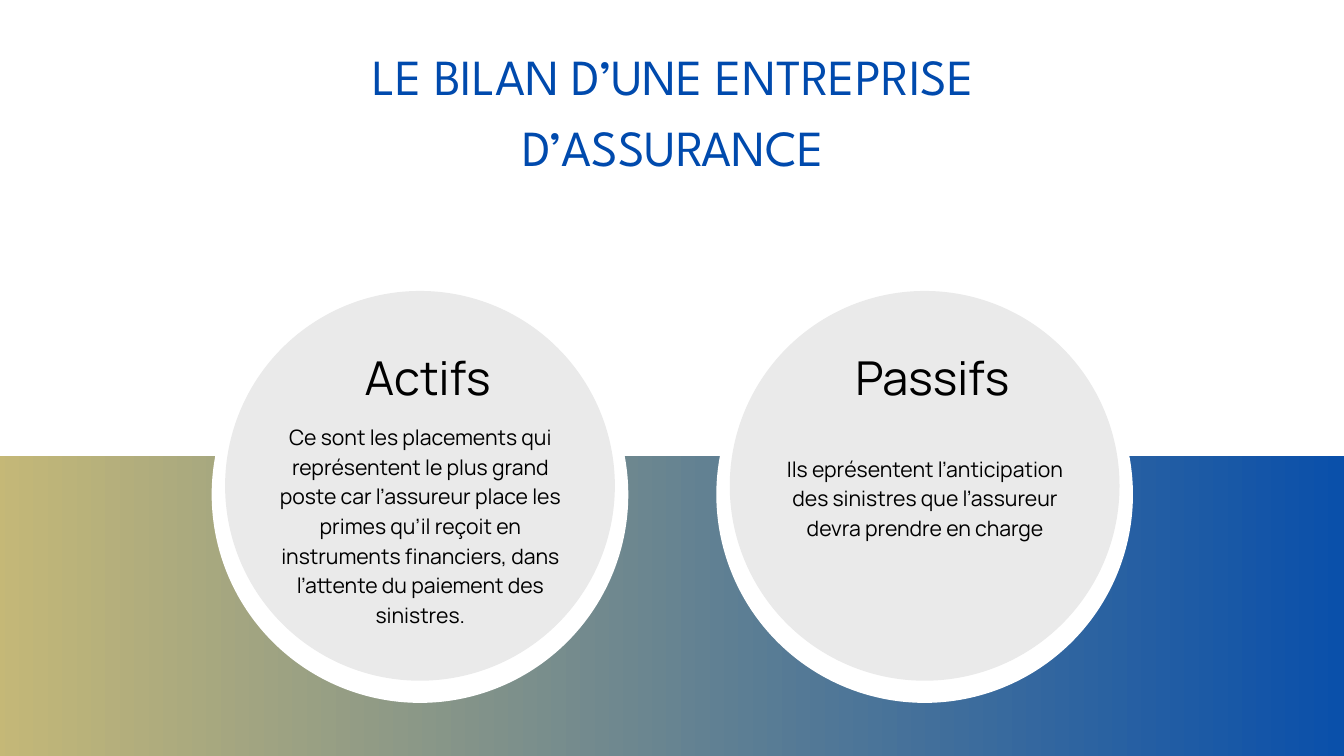
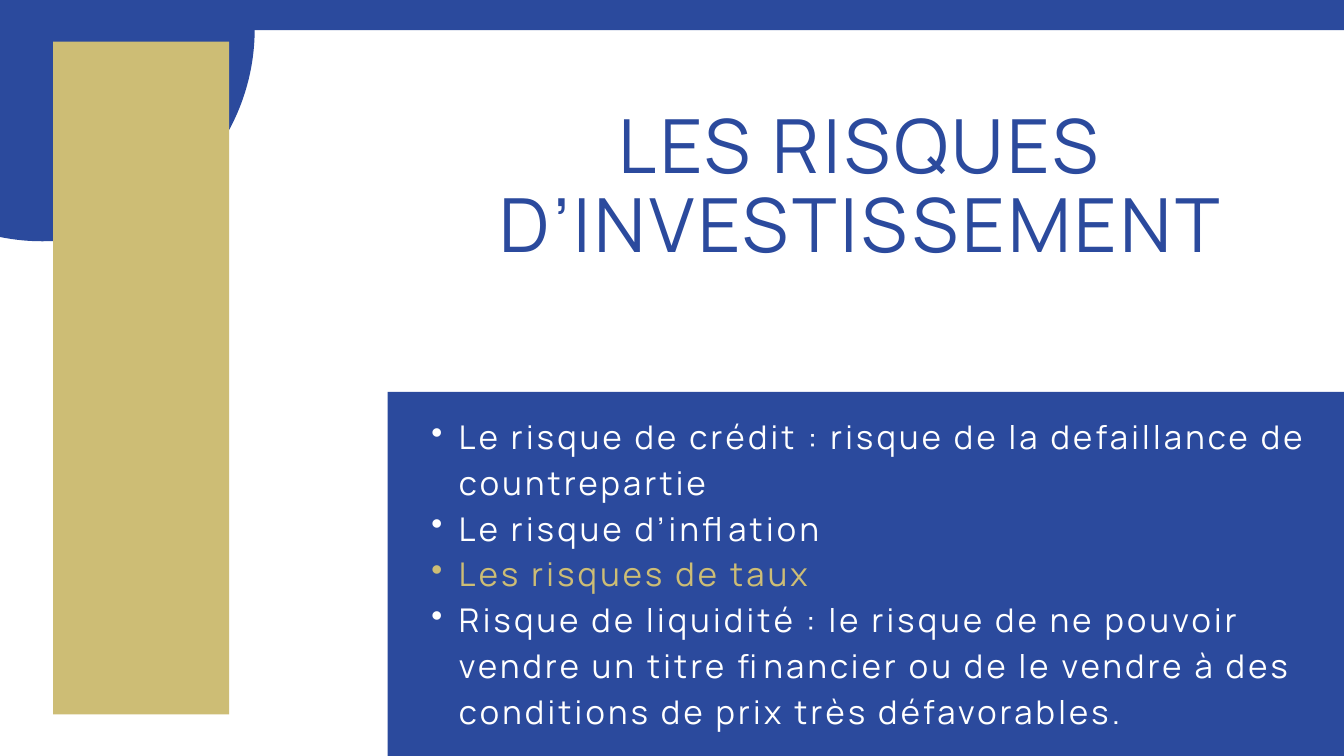
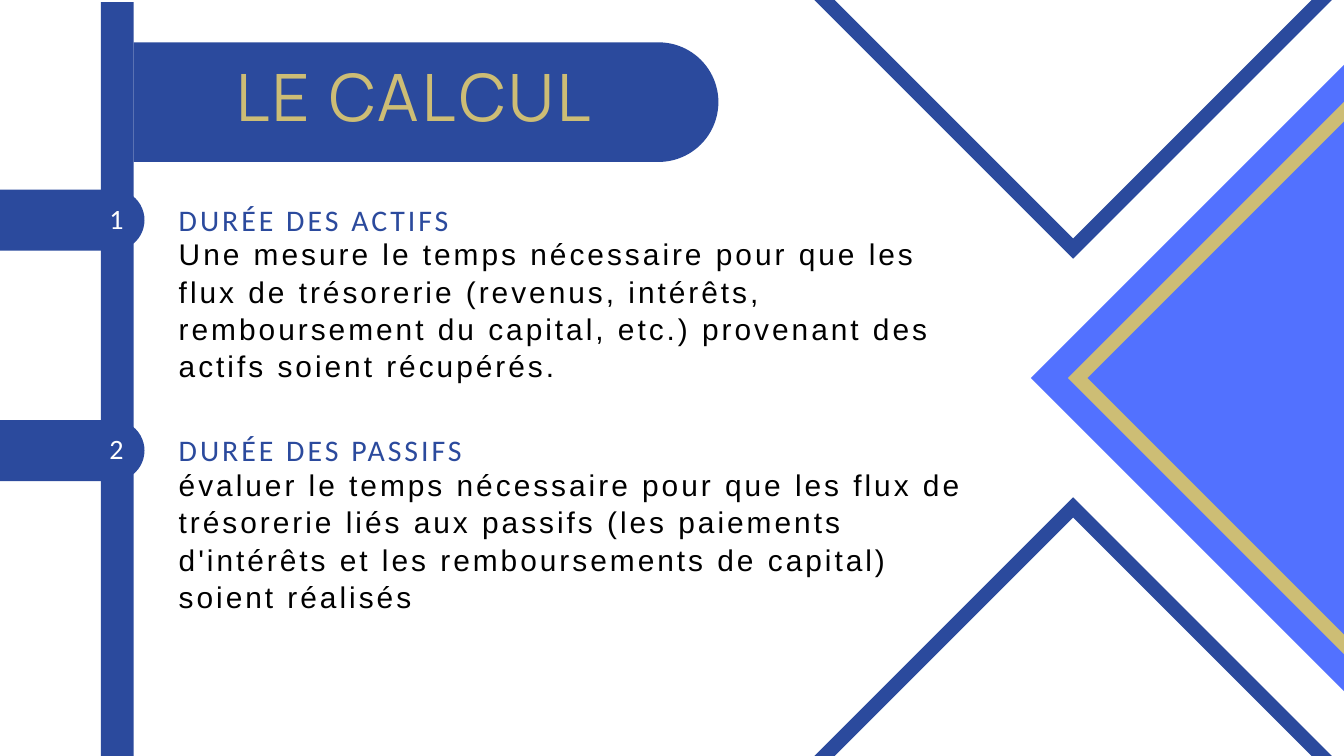
from dataclasses import dataclass

from lxml.etree import SubElement
from pptx import Presentation
from pptx.dml.color import RGBColor
from pptx.enum.shapes import MSO_SHAPE
from pptx.enum.text import PP_ALIGN
from pptx.oxml.ns import qn
from pptx.util import Inches, Pt

COLS, ROWS = 20, 11.25
CELL = Inches(1)


@dataclass(frozen=True)
class Theme:
    """Hold the colours, fonts and type sizes of the deck."""
    navy: str = "2B4A9D"
    royal: str = "004AAD"
    sky: str = "5271FF"
    gold: str = "CDBD75"
    grey: str = "EAEAEA"
    white: str = "FFFFFF"
    black: str = "000000"
    sans: str = "Manrope"
    caps: str = "League Spartan"
    plain: str = "Arial"
    label: str = "Calibri"
    giant: float = 80
    large: float = 70
    title: float = 54.1
    head: float = 50
    list: float = 35
    body: float = 32
    digit: float = 30
    small: float = 22.7


T = Theme()


def cells(*counts):
    """Turn counts of grid cells into lengths."""
    return [round(count * CELL) for count in counts]


def paint(shape, *hues):
    """Fill a shape with one colour or a sideways blend of two."""
    shape.shadow.inherit = False
    shape.line.fill.background()
    if len(hues) == 1:
        shape.fill.solid()
        shape.fill.fore_color.rgb = RGBColor.from_string(hues[0])
    else:
        shape.fill.gradient()
        shape.fill.gradient_angle = 0
        for stop, hue in zip(shape.fill.gradient_stops, hues):
            stop.color.rgb = RGBColor.from_string(hue)


def block(slide, box, *hues):
    """Draw a rectangle."""
    paint(slide.shapes.add_shape(MSO_SHAPE.RECTANGLE, *cells(*box)), *hues)


def disc(slide, mid_x, mid_y, radius, hue):
    """Draw a circle around its centre."""
    box = cells(mid_x - radius, mid_y - radius, 2 * radius, 2 * radius)
    paint(slide.shapes.add_shape(MSO_SHAPE.OVAL, *box), hue)


def tab(slide, left, top, width, height, hue):
    """Draw a bar with a round right end."""
    box = cells(left + (width - height) / 2, top + (height - width) / 2, height, width)
    shape = slide.shapes.add_shape(MSO_SHAPE.ROUND_2_SAME_RECTANGLE, *box)
    shape.adjustments[0] = 0.5
    shape.rotation = 90
    paint(shape, hue)


def chevron(slide, base, aim, reach, thick, hue):
    """Draw a right-angled arrow that points inwards from a slide edge."""
    (x, y), (dx, dy) = base, aim

    def arm(size):
        return [(x - dy * size, y - dx * size), (x + dx * size, y + dy * size),
                (x + dy * size, y + dx * size)]

    points = [cells(*point) for point in arm(reach) + arm(reach - thick)[::-1]]
    pen = slide.shapes.build_freeform(*points[0])
    pen.add_line_segments(points[1:])
    paint(pen.convert_to_shape(), hue)


def text(slide, box, *lines, size, lead, hue=T.black, font=T.sans, space=0,
         align=PP_ALIGN.LEFT, dots=False):
    """Write lines, each a string or a pair of string and colour."""
    frame = slide.shapes.add_textbox(*cells(*box)).text_frame
    frame.word_wrap = True
    frame.margin_left = frame.margin_right = frame.margin_top = frame.margin_bottom = 0
    for place, line in enumerate(lines):
        words, tint = (line, hue) if isinstance(line, str) else line
        para = frame.add_paragraph() if place else frame.paragraphs[0]
        para.alignment = align
        para.line_spacing = Pt(lead)
        if dots:
            props = para._p.get_or_add_pPr()
            props.set("marL", str(cells(0.83)[0]))
            props.set("indent", str(cells(-0.41)[0]))
            SubElement(props, qn("a:buChar")).set("char", "•")
        run = para.add_run()
        run.text = words
        run.font.size = Pt(size)
        run.font.name = font
        run.font.color.rgb = RGBColor.from_string(tint)
        if space:
            run._r.get_or_add_rPr().set("spc", str(round(space * 100)))


def balance(slide):
    """Build the slide on assets and debts."""
    block(slide, (-1, 6.79, 22.05, 4.6), T.gold, T.royal)
    sides = [
        ("Actifs", 6.25, "Ce sont les placements qui représentent le plus grand poste car "
         "l’assureur place les primes qu’il reçoit en instruments financiers, dans "
         "l’attente du paiement des sinistres."),
        ("Passifs", 6.72, "Ils eprésentent l’anticipation des sinistres que l’assureur "
         "devra prendre en charge"),
    ]
    mid = PP_ALIGN.CENTER
    text(slide, (5.47, 0.52, 9.09, 3.11), "LE BILAN D’UNE ENTREPRISE D’ASSURANCE",
         size=T.title, lead=75.8, hue=T.royal, font=T.caps, align=mid)
    for place, (head, top, words) in enumerate(sides):
        x = 6.25 + 7.51 * place
        disc(slide, x, 7.36, 3.1, T.white)
        disc(slide, x, 7.23, 2.9, T.grey)
        text(slide, (x - 2.16, top, 4.33, 3.07), words, size=T.small, lead=31.8, align=mid)
        text(slide, (x - 1.27, 5.05, 2.77, 0.99), head, size=T.head, lead=70, align=mid)


def risks(slide):
    """Build the slide on investment risks."""
    disc(slide, 0.63, 0.43, 3.16, T.navy)
    block(slide, (0.79, 0.62, 2.62, 10.01), T.gold)
    block(slide, (5.77, 5.83, COLS - 5.77, ROWS - 5.83), T.navy)
    block(slide, (3.65, 0, COLS - 3.65, 0.45), T.navy)
    text(slide, (6.31, 1.64, 12.99, 3.64), "LES RISQUES D’INVESTISSEMENT",
         size=T.giant, lead=84, hue=T.navy, space=4, align=PP_ALIGN.CENTER)
    text(slide, (6, 6.11, 13.62, 4.76),
         "Le risque de crédit : risque de la defaillance de countrepartie",
         "Le risque d’inflation",
         ("Les risques de taux", T.gold),
         "Risque de liquidité : le risque de ne pouvoir vendre un titre financier ou de le "
         "vendre à des conditions de prix très défavorables.",
         size=T.list, lead=49, hue=T.white, space=3.5, dots=True)


def method(slide):
    """Build the slide on the two durations."""
    block(slide, (1.5, 0.03, 0.49, ROWS - 0.03), T.navy)
    right = (COLS, ROWS / 2)
    chevron(slide, right, (-1, 0), 4.66, 4.66, T.sky)
    chevron(slide, right, (-1, 0), 4.11, 0.29, T.gold)
    for edge, aim in ((ROWS, -1), (0, 1)):
        chevron(slide, (15.97, edge), (0, aim), 3.85, 0.3, T.navy)
    tab(slide, 1.99, 0.63, 8.7, 1.78, T.navy)
    steps = [
        ("DURÉE DES ACTIFS", 11.22, "Une mesure le temps nécessaire pour que les flux de "
         "trésorerie (revenus, intérêts, remboursement du capital, etc.) provenant des "
         "actifs soient récupérés."),
        ("DURÉE DES PASSIFS", 11.84, "évaluer le temps nécessaire pour que les flux de "
         "trésorerie liés aux passifs (les paiements d'intérêts et les remboursements de "
         "capital) soient réalisés"),
    ]
    for place, (head, width, words) in enumerate(steps):
        top = 2.82 + 3.43 * place
        tab(slide, 0, top, 2.15, 0.91, T.navy)
        text(slide, (2.66, top + 0.67, width, 2.22), words,
             size=T.body, lead=40, font=T.plain, space=3.2)
        text(slide, (2.66, top + 0.09, 9.76, 0.6), head,
             size=T.body, lead=44.8, hue=T.navy, font=T.label, space=3.2)
        text(slide, (1.47, top + 0.09, 0.53, 0.57), str(place + 1), size=T.digit, lead=42,
             hue=T.white, font=T.label, space=3, align=PP_ALIGN.CENTER)
    text(slide, (2.32, 0.98, 7.68, 1.11), "LE CALCUL", size=T.large, lead=73.5,
         hue=T.gold, space=3.5, align=PP_ALIGN.CENTER)


def main():
    """Build and save the deck."""
    deck = Presentation()
    deck.slide_width, deck.slide_height = cells(COLS, ROWS)
    for build in (balance, risks, method):
        build(deck.slides.add_slide(deck.slide_layouts[6]))
    deck.save("out.pptx")


if __name__ == "__main__":
    main()
